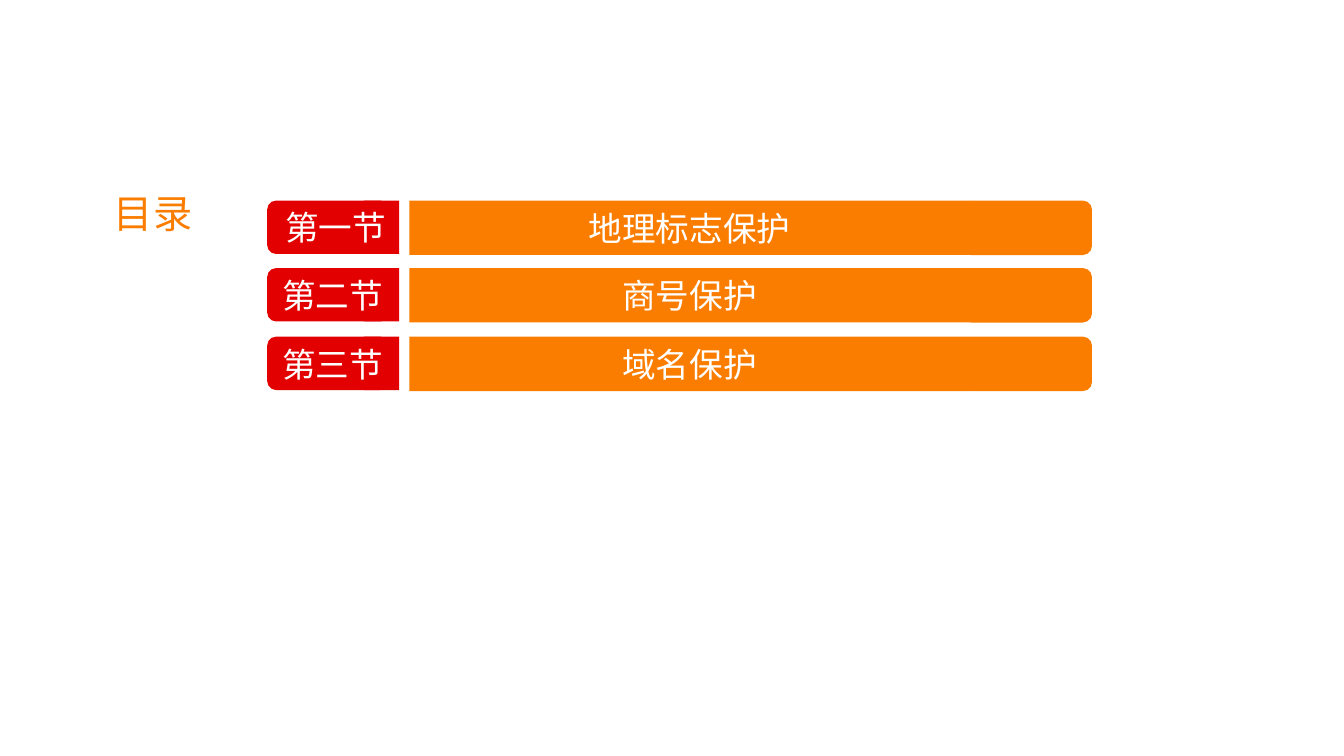
"""Build a contents slide listing three sections on IP protection."""
from lxml import etree
from pptx import Presentation
from pptx.dml.color import RGBColor
from pptx.enum.shapes import MSO_SHAPE
from pptx.enum.text import MSO_ANCHOR, MSO_AUTO_SIZE, PP_ALIGN
from pptx.oxml.ns import qn
from pptx.util import Emu, Pt

PX = 9144
FONT = "Noto Sans CJK SC"
COLORS = {"orange": "FA7D00", "red": "E20000", "white": "FFFFFF"}
RECT, ROUND = MSO_SHAPE.RECTANGLE, MSO_SHAPE.ROUNDED_RECTANGLE
TOP, MIDDLE = MSO_ANCHOR.TOP, MSO_ANCHOR.MIDDLE
LEFT, CENTER = PP_ALIGN.LEFT, PP_ALIGN.CENTER
FIT, NO_FIT = MSO_AUTO_SIZE.SHAPE_TO_FIT_TEXT, MSO_AUTO_SIZE.NONE

SECTIONS = [
    ("第一节", "地理标志保护", 273),
    ("第二节", "商号保护", 270),
    ("第三节", "域名保护", 270),
]
FIRST_ROW, LABEL_TOP, LABEL_PITCH = 199, 200, 68


def write(holder, text, size=24, color="white", align=LEFT, anchor=TOP, wrap=False, fit=FIT):
    frame = holder.text_frame
    frame.text = text
    frame.word_wrap = wrap
    frame.auto_size = fit
    frame.vertical_anchor = anchor
    paragraph = frame.paragraphs[0]
    paragraph.alignment = align
    run = paragraph.runs[0]
    run.font.size = Pt(size)
    run.font.name = FONT
    run.font.color.rgb = RGBColor.from_string(COLORS[color])
    etree.SubElement(run.font._element, qn("a:ea"), typeface=FONT)


def add_block(parent, preset, color, *box):
    block = parent.add_shape(preset, *(Emu(n * PX) for n in box))
    block.shadow.inherit = False
    block.fill.solid()
    block.fill.fore_color.rgb = RGBColor.from_string(COLORS[color])
    block.line.fill.background()
    return block


prs = Presentation()
prs.slide_width, prs.slide_height = Emu(1333 * PX), Emu(750 * PX)
slide = prs.slides.add_slide(prs.slide_layouts[5])

heading = slide.shapes.title
heading.left, heading.top = Emu(103 * PX), Emu(183 * PX)
heading.width, heading.height = Emu(99 * PX), Emu(57 * PX)
write(heading, "目录", size=28, color="orange")

for index, (number, topic, label_left) in enumerate(SECTIONS):
    row_top = FIRST_ROW + index * 135 // 2
    add_block(slide.shapes, ROUND, "orange", 954, row_top, 129, 54)

    row = slide.shapes.add_group_shape().shapes
    add_block(row, ROUND, "red", 265, row_top, 121, 53)
    add_block(row, RECT, "red", 361, row_top, 35, 53)
    topic_bar = add_block(row, RECT, "orange", 406, row_top, 556, 54)
    write(topic_bar, topic, align=CENTER, anchor=MIDDLE, wrap=True, fit=NO_FIT)

    label_box = (label_left, LABEL_TOP + index * LABEL_PITCH, 121, 50)
    label = slide.shapes.add_textbox(*(Emu(n * PX) for n in label_box))
    write(label, number)

prs.save("out.pptx")
